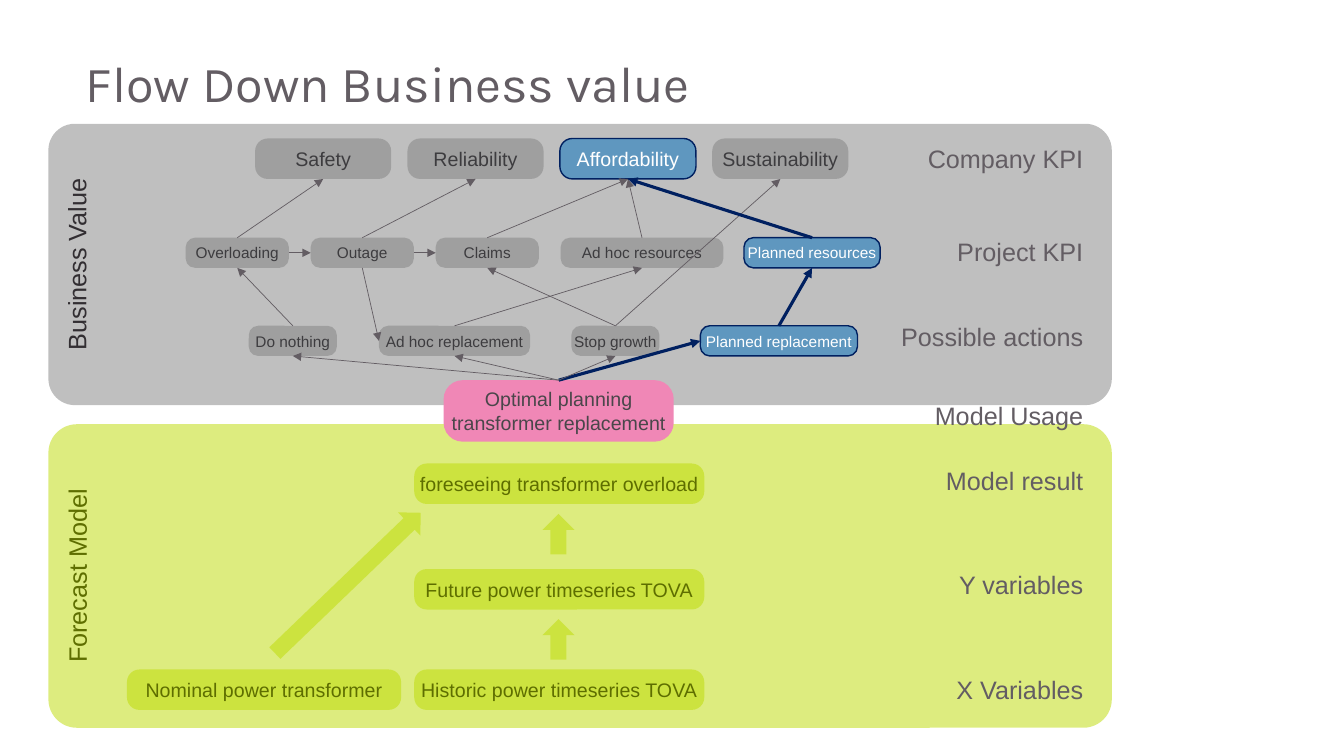
"""Build the slide that links a forecast model to business value."""
from lxml.etree import SubElement
from pptx import Presentation
from pptx.dml.color import RGBColor
from pptx.enum.shapes import MSO_CONNECTOR, MSO_SHAPE
from pptx.enum.text import MSO_ANCHOR, MSO_AUTO_SIZE, PP_ALIGN
from pptx.oxml.ns import qn
from pptx.util import Cm, Pt

COLORS = {
    "text": "635D63", "lime": "BDDB00", "olive": "5E6E00", "gray": "808080",
    "dark": "3D3C3F", "ink": "322E32", "blue": "0070C0", "navy": "002060",
    "pink": "F087B6", "plum": "4A464A", "white": "FFFFFF",
}
TITLE = "Flow Down Business value"
TITLE_BOX = (1.91, 1.35, 30.02, 2.41)

BANDS = [
    ("Forecast Model", 10.69, 7.65, "lime", "olive"),
    ("Business Value", 3.12, 7.09, "gray", "ink"),
]
BAND_LEFT, BAND_WIDTH = 1.22, 26.8

LABELS = [
    ("Company KPI", 3.48, 4.47), ("Project KPI", 5.82, 3.71),
    ("Possible actions", 7.98, 5.16), ("Model Usage", 9.96, 4.29),
    ("Model result", 11.6, 4.01), ("Y variables", 14.23, 3.68),
    ("X Variables", 16.87, 3.73),
]
LABEL_RIGHT = 27.55

KINDS = {
    "plain": {"fill": "gray", "alpha": 50, "font": "dark", "line": None},
    "chosen": {"fill": "blue", "alpha": 50, "font": "white", "line": "navy"},
    "model": {"fill": "lime", "alpha": 50, "font": "olive", "line": None},
    "usage": {"fill": "pink", "alpha": 100, "font": "plum", "line": None},
}
KPI_LEFT, KPI_STEP = 6.43, 3.84
PROJECT_LEFT, PROJECT_STEP = 4.68, 3.15
MODEL_LEFT, MODEL_WIDTH = 10.44, 7.31

ROWS = [
    (16.87, 1.02, 14, [("Historic power timeseries TOVA", MODEL_LEFT, MODEL_WIDTH, "model"),
                       ("Nominal power transformer", 3.2, 6.91, "model")]),
    (14.34, 1.02, 14, [("Future power timeseries TOVA", MODEL_LEFT, MODEL_WIDTH, "model")]),
    (11.68, 1.02, 14, [("foreseeing transformer overload", MODEL_LEFT, MODEL_WIDTH, "model")]),
    (9.58, 1.55, 14, [("Optimal planning transformer replacement", 11.18, 5.8, "usage")]),
    (3.49, 1.02, 14, [(name, KPI_LEFT + i * KPI_STEP, 3.43, kind) for i, (name, kind) in enumerate([
        ("Safety", "plain"), ("Reliability", "plain"),
        ("Affordability", "chosen"), ("Sustainability", "plain")])]),
    (5.99, 0.76, 11, [(name, PROJECT_LEFT + i * PROJECT_STEP, width, "plain")
                      for i, (name, width) in enumerate([
                          ("Overloading", 2.6), ("Outage", 2.6),
                          ("Claims", 2.6), ("Ad hoc resources", 4.1)])]
     + [("Planned resources", 18.75, 3.43, "chosen")]),
    (8.21, 0.76, 11, [("Do nothing", 6.27, 2.22, "plain"),
                      ("Ad hoc replacement", 9.55, 3.81, "plain"),
                      ("Stop growth", 14.4, 2.22, "plain"),
                      ("Planned replacement", 17.65, 3.96, "chosen")]),
]

BLOCK_ARROWS = [(13.67, 15.6, 1.02, 0), (13.67, 12.95, 1.02, 0), (8.36, 12.14, 5.1, 46.1)]
ARROW_WIDTH = 0.81

TOP, LEFT, BOTTOM, RIGHT = range(4)
USAGE = "Optimal planning transformer replacement"
THIN, BOLD = ("text", 0.5), ("navy", 2.25)
LINKS = [
    ("Overloading", TOP, "Safety", BOTTOM, THIN),
    ("Outage", BOTTOM, "Ad hoc replacement", LEFT, THIN),
    ("Do nothing", TOP, "Overloading", BOTTOM, THIN),
    ("Stop growth", TOP, "Claims", BOTTOM, THIN),
    ("Claims", TOP, "Affordability", BOTTOM, THIN),
    ("Outage", TOP, "Reliability", BOTTOM, THIN),
    ("Stop growth", TOP, "Sustainability", BOTTOM, THIN),
    ("Ad hoc replacement", TOP, "Ad hoc resources", BOTTOM, THIN),
    ("Ad hoc resources", TOP, "Affordability", BOTTOM, THIN),
    ("Overloading", RIGHT, "Outage", LEFT, THIN),
    ("Outage", RIGHT, "Claims", LEFT, THIN),
    ("Planned replacement", TOP, "Planned resources", BOTTOM, BOLD),
    (USAGE, TOP, "Planned replacement", LEFT, BOLD),
    (USAGE, TOP, "Stop growth", BOTTOM, THIN),
    ("Planned resources", TOP, "Affordability", BOTTOM, BOLD),
    (USAGE, TOP, "Ad hoc replacement", BOTTOM, THIN),
    (USAGE, TOP, "Do nothing", BOTTOM, THIN),
]

LABEL_FRAME = {"word_wrap": False, "auto_size": MSO_AUTO_SIZE.SHAPE_TO_FIT_TEXT,
               "vertical_anchor": MSO_ANCHOR.MIDDLE}
TOP_FRAME = {"word_wrap": True, "auto_size": MSO_AUTO_SIZE.NONE,
             "vertical_anchor": MSO_ANCHOR.TOP}
NODE_FRAME = {"word_wrap": True, "vertical_anchor": MSO_ANCHOR.MIDDLE, "margin_left": 0,
              "margin_right": 0, "margin_top": 0, "margin_bottom": 0}


def rgb(name):
    return RGBColor.from_string(COLORS[name])


def set_all(obj, values):
    for key, value in values.items():
        setattr(obj, key, value)


def write(sp, text, size, color, frame, para, font="Arial"):
    tf = sp.text_frame
    set_all(tf, frame)
    p = tf.paragraphs[0]
    set_all(p, para)
    r = p.add_run()
    r.text = text
    set_all(r.font, {"size": Pt(size), "name": font})
    r.font.color.rgb = rgb(color)


def add_filled(slide, preset, box, fill, alpha=50, line=None):
    sp = slide.shapes.add_shape(preset, *map(Cm, box))
    sp.shadow.inherit = False
    sp.fill.solid()
    sp.fill.fore_color.rgb = rgb(fill)
    if alpha < 100:
        color = sp.fill._xPr.find(qn("a:solidFill"))[0]
        SubElement(color, qn("a:alpha"), val=str(alpha * 1000))
    if line:
        sp.line.color.rgb = rgb(line)
        sp.line.width = Pt(1)
    else:
        sp.line.fill.background()
    return sp


def add_link(slide, start, start_site, end, end_site, style):
    color, width = style
    cxn = slide.shapes.add_connector(MSO_CONNECTOR.STRAIGHT, 0, 0, 0, 0)
    cxn.begin_connect(start, start_site)
    cxn.end_connect(end, end_site)
    cxn.line.color.rgb = rgb(color)
    cxn.line.width = Pt(width)
    SubElement(cxn.line._get_or_add_ln(), qn("a:tailEnd"), type="triangle")
    SubElement(cxn._element.spPr, qn("a:effectLst"))


def main():
    prs = Presentation()
    prs.slide_width, prs.slide_height = Cm(33.87), Cm(19.05)
    slide = prs.slides.add_slide(prs.slide_layouts[5])
    title = slide.shapes.title
    set_all(title, dict(zip(("left", "top", "width", "height"), map(Cm, TITLE_BOX))))
    write(title, TITLE, 36, "text", TOP_FRAME,
          {"alignment": PP_ALIGN.LEFT, "line_spacing": 0.9}, "Karla")

    for text, top, height, fill, color in BANDS:
        sp = add_filled(slide, MSO_SHAPE.ROUNDED_RECTANGLE,
                        (BAND_LEFT, top, BAND_WIDTH, height), fill)
        sp.adjustments[0] = 0.094
        write(sp, text, 18, color, TOP_FRAME, {"alignment": PP_ALIGN.CENTER})
        sp.text_frame._txBody.bodyPr.set("vert", "vert270")

    for text, top, width in LABELS:
        sp = slide.shapes.add_textbox(*map(Cm, (LABEL_RIGHT - width, top, width, 1.02)))
        write(sp, text, 18, "text", LABEL_FRAME,
              {"alignment": PP_ALIGN.RIGHT, "space_after": Pt(6)})

    nodes = {}
    for top, height, size, row in ROWS:
        for text, left, width, kind in row:
            look = KINDS[kind]
            sp = add_filled(slide, MSO_SHAPE.ROUNDED_RECTANGLE, (left, top, width, height),
                            look["fill"], look["alpha"], look["line"])
            sp.adjustments[0] = 0.31
            write(sp, text, size, look["font"], NODE_FRAME, {"alignment": PP_ALIGN.CENTER})
            nodes[text] = sp

    for left, top, height, angle in BLOCK_ARROWS:
        sp = add_filled(slide, MSO_SHAPE.UP_ARROW, (left, top, ARROW_WIDTH, height), "lime")
        sp.rotation = angle

    for start, start_site, end, end_site, style in LINKS:
        add_link(slide, nodes[start], start_site, nodes[end], end_site, style)

    prs.save("out.pptx")


if __name__ == "__main__":
    main()
